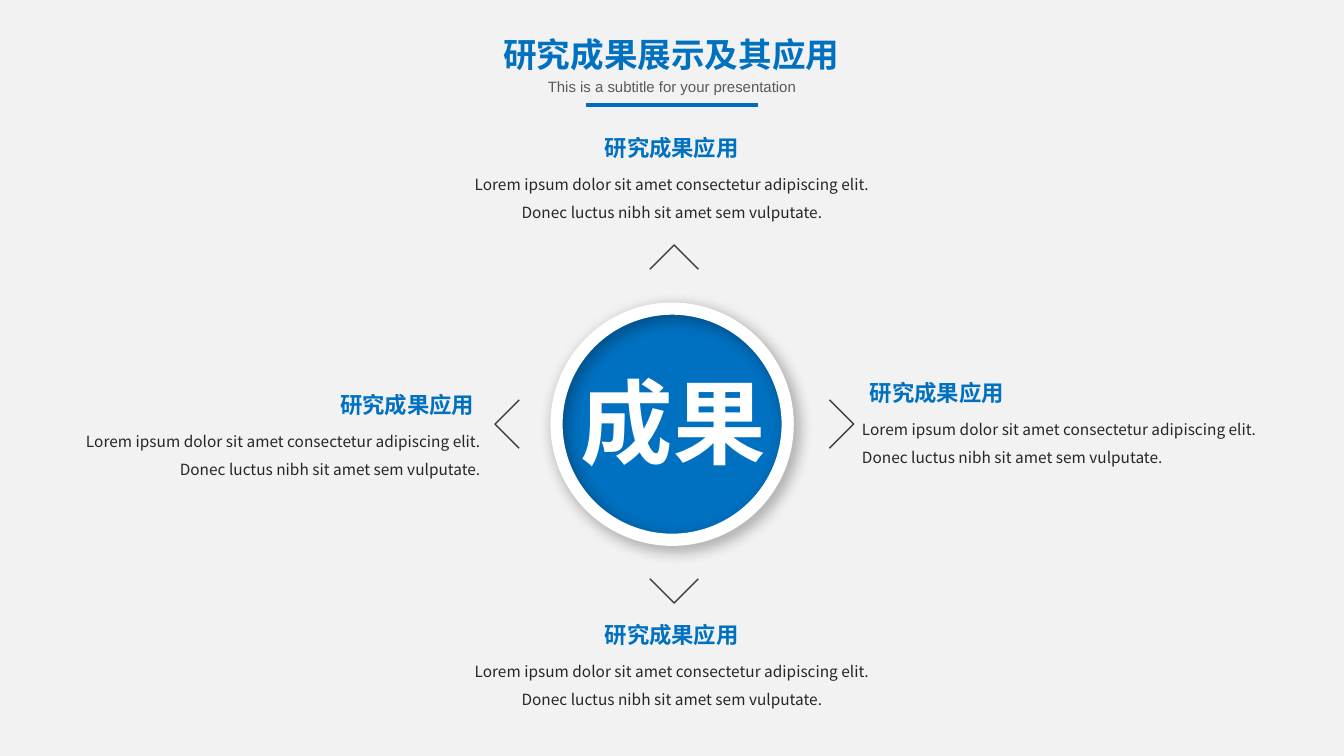
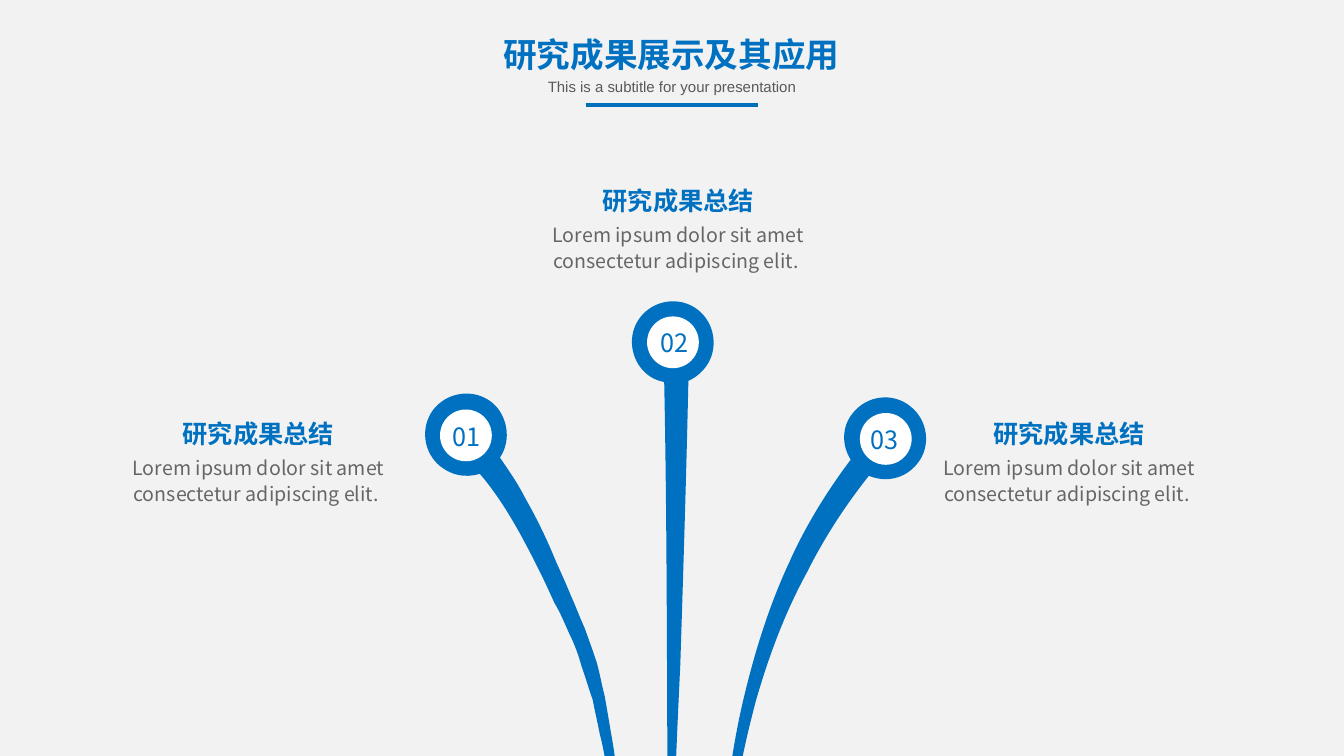
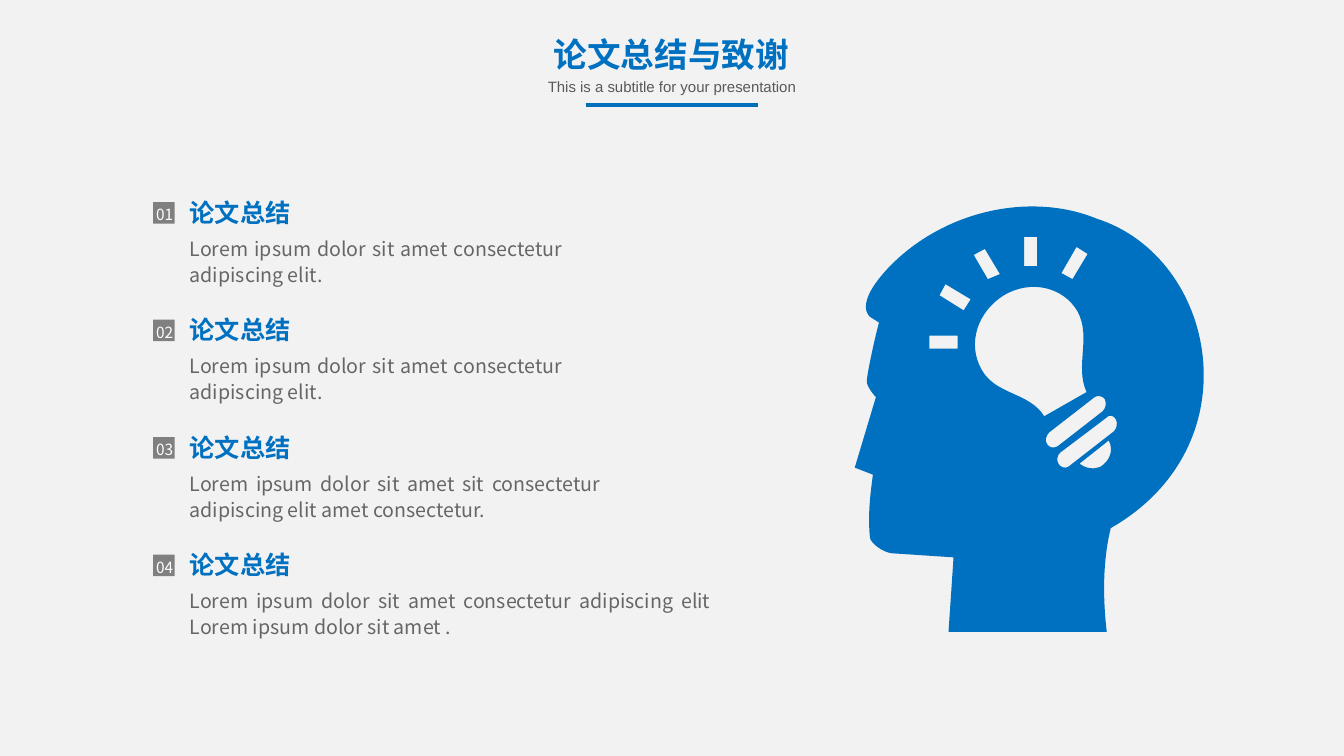
from dataclasses import dataclass

from lxml.etree import SubElement
from pptx import Presentation
from pptx.dml.color import RGBColor
from pptx.enum.shapes import MSO_CONNECTOR as Connector, MSO_SHAPE as Preset
from pptx.enum.text import MSO_AUTO_SIZE as AutoSize, PP_ALIGN as Align
from pptx.oxml.ns import qn
from pptx.util import Pt

COLOURS = {
    "background": "F2F2F2", "blue": "0070C0", "rule": "006EBC", "white": "FFFFFF",
    "subtitle": "595959", "dark": "262626", "grey": "666666", "badge": "808080",
    "chevron": "404040", "shadow": "000000",
}
CJK = "Noto Sans CJK SC"
WIDTH, HEIGHT = 960, 540
GRID = 0.72  # points per unit of the outline drawings

Point = tuple[float, float]


@dataclass(frozen=True)
class Style:
    size: float
    colour: str
    font: str = CJK
    bold: bool = False
    spacing: float | None = None


@dataclass(frozen=True)
class Application:
    """A text block around the centre and the chevron pointing to it."""
    heading: tuple[float, float, float]  # left, top, width
    body_left: float
    align: Align
    tip: Point
    direction: tuple[int, int]


@dataclass(frozen=True)
class Stem:
    number: str
    outline: tuple[str, ...]
    disc: Point
    number_at: Point
    heading: Point


@dataclass(frozen=True)
class Conclusion:
    body: str
    width: float


TITLE = Style(24, "blue", bold=True)
SUBTITLE = Style(10.7, "subtitle", "Arial")
CENTRE = Style(66, "white", "Calibri", True)
APPLICATION_HEADING = Style(16, "blue", "Arial", True)
APPLICATION_BODY = Style(11, "dark", spacing=1.5)
SUMMARY_HEADING = Style(18, "blue", bold=True)
SUMMARY_BODY = Style(14, "grey", spacing=1.1)
STEM_NUMBER = Style(18, "blue")
BADGE_NUMBER = Style(11, "white", spacing=1.1)

RESULTS_TITLE = "研究成果展示及其应用"
LOREM = "Lorem ipsum dolor sit amet consectetur adipiscing elit. "

APPLICATIONS = (
    Application((424, 92.2, 111.6), 316.6, Align.CENTER, (481.5, 175), (0, -1)),
    Application((614.2, 267.1, 152.6), 608.6, Align.LEFT, (609.8, 302.9), (1, 0)),
    Application((424, 439.9, 111.6), 316.6, Align.CENTER, (481.5, 430.8), (0, 1)),
    Application((192, 275.8, 153.8), 23.6, Align.RIGHT, (353.6, 302.9), (-1, 0)),
)

# Outlines: first point, then L (line) or C (cubic curve) coordinates
LEFT_STEM = (
    "618 830 C 617 807 615 784 611 760 610 749 608 737 606 726 604 714 602 702 600 691 "
    "597 679 595 668 592 657 588 645 584 634 580 623 575 612 571 601 566 590 "
    "562 580 557 569 552 558 543 536 533 515 521 494 514 480 505 467 496 454 "
    "506 439 505 419 493 404 478 387 452 386 435 401 419 415 417 441 432 458 "
    "444 471 461 475 476 470 500 498 518 532 535 566 540 576 545 587 550 598 "
    "556 608 560 618 565 629 570 639 574 650 577 661 581 672 584 683 588 694 "
    "590 705 593 717 595 728 598 739 600 751 602 762 606 785 609 808 611 831 "
    "615 877 615 924 611 971 617 924 620 877 618 830",
)
MIDDLE_STEM = (
    "708 338 C 707 316 689 298 666 299 644 300 626 318 627 341 628 360 641 376 659 379 "
    "663 576 661 774 664 971 666 867 670 763 675 659 678 565 681 471 683 378 "
    "698 371 709 356 708 338",
)
RIGHT_STEM = (
    "903 403 C 886 389 860 392 846 410 835 423 835 442 844 456 820 488 799 522 783 558 "
    "763 601 749 646 738 692 727 738 721 784 717 831 713 877 713 924 714 971 "
    "714 924 718 877 723 832 729 785 738 740 750 695 763 650 779 607 801 567 "
    "818 533 839 501 862 472 879 479 898 475 910 460 924 443 921 417 903 403",
)
HEAD_WITH_BULB = (
    # head
    "1098 627 C 1094 593 1094 556 1102 524 1245 442 1207 255 1088 217 "
    "1025 191 940 207 884 263 844 304 864 315 864 315 L 872 320 "
    "C 867 339 859 376 860 380 862 387 869 394 869 394 L 848 464 866 471 "
    "C 863 493 861 512 863 533 863 538 875 548 885 549 L 946 553 941 627",
    # rays
    "950 346 L 922 346 922 333 950 333",
    "956 308 L 932 293 938 282 963 297",
    "980 277 L 966 253 977 247 992 272",
    "1016 264 L 1016 235 1029 235 1029 264",
    "1053 271 L 1068 245 1079 252 1064 277",
    # bulb glass
    "996 293 C 1023 277 1055 285 1069 309 1083 335 1066 363 1078 389 L 1036 413 "
    "C 1021 389 988 392 974 367 959 341 970 309 996 293",
    # bulb socket
    "1041 429 L 1086 394 C 1089 392 1094 393 1096 396 1098 400 1097 405 1094 408 "
    "L 1049 443 C 1045 445 1041 444 1039 441 1036 437 1038 432 1041 429",
    "1052 449 L 1097 415 C 1100 411 1105 412 1107 416 1109 420 1108 425 1105 428 "
    "L 1060 463 C 1057 465 1052 464 1050 460 1048 457 1049 451 1052 449",
    "1100 437 C 1105 447 1101 457 1092 463 1086 466 1077 465 1071 460",
)

STEMS = (
    Stem("01", LEFT_STEM, (314.3, 292.5), (309.6, 297.4), (123.5, 295.2)),
    Stem("02", MIDDLE_STEM, (462.2, 226), (458.6, 230), (423.4, 128.9)),
    Stem("03", RIGHT_STEM, (614.2, 295), (608.4, 299.5), (702.6, 295.2)),
)

CONCLUSIONS = (
    Conclusion(LOREM, 280.4),
    Conclusion(LOREM, 280.4),
    Conclusion("Lorem ipsum dolor sit amet sit consectetur adipiscing elit "
               "amet consectetur. ", 307.6),
    Conclusion("Lorem ipsum dolor sit amet consectetur adipiscing elit "
               "Lorem ipsum dolor sit amet .", 386.6),
)


def rgb(name: str) -> RGBColor:
    return RGBColor.from_string(COLOURS[name])


def add_text(slide, text: str, left: float, top: float, width: float, height: float,
             style: Style, align: Align = Align.LEFT, wrap: bool = True,
             inset: bool = True) -> None:
    box = slide.shapes.add_textbox(Pt(left), Pt(top), Pt(width), Pt(height))
    frame = box.text_frame
    frame.word_wrap = wrap
    frame.auto_size = AutoSize.SHAPE_TO_FIT_TEXT
    if not inset:
        frame.margin_left = frame.margin_right = Pt(0)
        frame.margin_top = frame.margin_bottom = Pt(0)
    paragraph = frame.paragraphs[0]
    paragraph.alignment = align
    if style.spacing:
        paragraph.line_spacing = style.spacing
    run = paragraph.add_run()
    run.text = text
    run.font.size = Pt(style.size)
    run.font.bold = style.bold
    run.font.color.rgb = rgb(style.colour)
    run.font.name = style.font
    SubElement(run.font._element, qn("a:ea"), typeface=CJK)


def paint(shape, colour: str) -> None:
    shape.shadow.inherit = False
    shape.fill.solid()
    shape.fill.fore_color.rgb = rgb(colour)
    shape.line.fill.background()


def add_preset(slide, preset: Preset, left: float, top: float, width: float,
               height: float, colour: str):
    shape = slide.shapes.add_shape(preset, Pt(left), Pt(top), Pt(width), Pt(height))
    paint(shape, colour)
    return shape


def add_freeform(slide, contours: list[list[Point]], close: bool = True):
    lines = [[(Pt(x), Pt(y)) for x, y in contour] for contour in contours]
    builder = slide.shapes.build_freeform(*lines[0][0], scale=1.0)
    for index, line in enumerate(lines):
        if index:
            builder.move_to(*line[0])
        builder.add_line_segments(line[1:], close=close)
    return builder.convert_to_shape()


def read_contour(contour: str) -> tuple[list[Point], list[str]]:
    """Points of a contour, and the command of each of its segments."""
    numbers: list[float] = []
    segments: list[str] = []
    command, pending = "", 0
    for token in contour.split():
        if token in ("L", "C"):
            command, pending = token, 0
            continue
        numbers.append(float(token) * GRID)
        pending += 1
        if command and pending == (6 if command == "C" else 2):
            segments.append(command)
            pending = 0
    return list(zip(numbers[0::2], numbers[1::2])), segments


def add_outline(slide, outline: tuple[str, ...], colour: str) -> None:
    parts = [read_contour(contour) for contour in outline]
    shape = add_freeform(slide, [points for points, _ in parts])
    paint(shape, colour)
    # Join each three lines of a curve into one cubic segment
    lines = iter(list(shape._element.iter(qn("a:lnTo"))))
    for command in (command for _, segments in parts for command in segments):
        segment = next(lines)
        if command == "C":
            for extra in (next(lines), next(lines)):
                segment.append(extra[0])
                extra.getparent().remove(extra)
            segment.tag = qn("a:cubicBezTo")


def add_chevron(slide, tip: Point, direction: tuple[int, int], arm: float = 17.3) -> None:
    (x, y), (dx, dy) = tip, direction
    back_x, back_y = x - dx * arm, y - dy * arm
    chevron = add_freeform(slide, [[(back_x + dy * arm, back_y - dx * arm), tip,
                                    (back_x - dy * arm, back_y + dx * arm)]], close=False)
    chevron.shadow.inherit = False
    chevron.fill.background()
    chevron.line.color.rgb = rgb("chevron")
    chevron.line.width = Pt(1)


def cast_shadow(shape) -> None:
    effects = shape._element.spPr.find(qn("a:effectLst"))
    outer = SubElement(effects, qn("a:outerShdw"), blurRad=str(Pt(11)), dist=str(Pt(4)),
                       dir=str(45 * 60000), algn="tl", rotWithShape="0")
    tint = SubElement(outer, qn("a:srgbClr"), val=COLOURS["shadow"])
    SubElement(tint, qn("a:alpha"), val="36000")


def add_titled_slide(prs, title: str):
    """A blank slide with backdrop, title, subtitle and rule."""
    slide = prs.slides.add_slide(prs.slide_layouts[6])
    add_preset(slide, Preset.RECTANGLE, 0, 0, WIDTH, HEIGHT, "background")
    add_text(slide, title, 351.4, 20.9, 256.3, 36, TITLE, Align.CENTER)
    add_text(slide, "This is a subtitle for your presentation", 385.4, 55.4, 189.4, 13,
             SUBTITLE, Align.CENTER, inset=False)
    rule = slide.shapes.add_connector(Connector.STRAIGHT, Pt(418.3), Pt(75.2),
                                      Pt(541.4), Pt(75.2))
    rule.line.color.rgb = rgb("rule")
    rule.line.width = Pt(3)
    SubElement(rule._element.spPr, qn("a:effectLst"))
    return slide


def build_applications(prs) -> None:
    slide = add_titled_slide(prs, RESULTS_TITLE)
    # Central medallion
    add_preset(slide, Preset.OVAL, 394.6, 218.9, 168.5, 168.5, "blue")
    ring = add_preset(slide, Preset.DONUT, 393.2, 216.1, 173.8, 173.8, "white")
    ring.adjustments[0] = 0.05
    cast_shadow(ring)
    add_text(slide, "成果", 407.1, 256.9, 147.6, 87.1, CENTRE, Align.CENTER, wrap=False)
    # Four applications around it
    for item in APPLICATIONS:
        left, top, width = item.heading
        add_chevron(slide, item.tip, item.direction)
        add_text(slide, "研究成果应用", left, top, width, 26.6, APPLICATION_HEADING,
                 item.align, wrap=item.align != Align.CENTER)
        add_text(slide, f"{LOREM}Donec luctus nibh sit amet sem vulputate.",
                 item.body_left, top + 23, 326.9, 44.6, APPLICATION_BODY, item.align)


def build_stems(prs) -> None:
    slide = add_titled_slide(prs, RESULTS_TITLE)
    for stem in STEMS:
        add_outline(slide, stem.outline, "blue")
        add_preset(slide, Preset.OVAL, *stem.disc, 37, 37, "white")
        add_text(slide, stem.number, *stem.number_at, 46.8, 28.8, STEM_NUMBER, Align.CENTER)
        left, top = stem.heading
        add_text(slide, "研究成果总结", left, top, 126.7, 28.8, SUMMARY_HEADING)
        add_text(slide, LOREM, left - 50.4, top + 25.2, 223.2, 44.6, SUMMARY_BODY,
                 Align.CENTER)


def build_conclusions(prs) -> None:
    slide = add_titled_slide(prs, "论文总结与致谢")
    add_outline(slide, HEAD_WITH_BULB, "blue")
    left, first_top, pitch = 128.4, 137.4, 83.9
    for index, item in enumerate(CONCLUSIONS):
        top = first_top + index * pitch
        add_text(slide, "论文总结", left, top, 126.7, 28.8, SUMMARY_HEADING)
        add_text(slide, item.body, left, top + 26.4, item.width, 44.6, SUMMARY_BODY,
                 Align.JUSTIFY)
        add_preset(slide, Preset.RECTANGLE, 109.4, top + 7, 15.4, 15.4, "badge")
        add_text(slide, f"{index + 1:02}", 103.5, top + 4.4, 28.1, 21.6, BADGE_NUMBER,
                 Align.CENTER)


def main() -> None:
    prs = Presentation()
    prs.slide_width, prs.slide_height = Pt(WIDTH), Pt(HEIGHT)
    build_applications(prs)
    build_stems(prs)
    build_conclusions(prs)
    prs.save("out.pptx")


if __name__ == "__main__":
    main()
